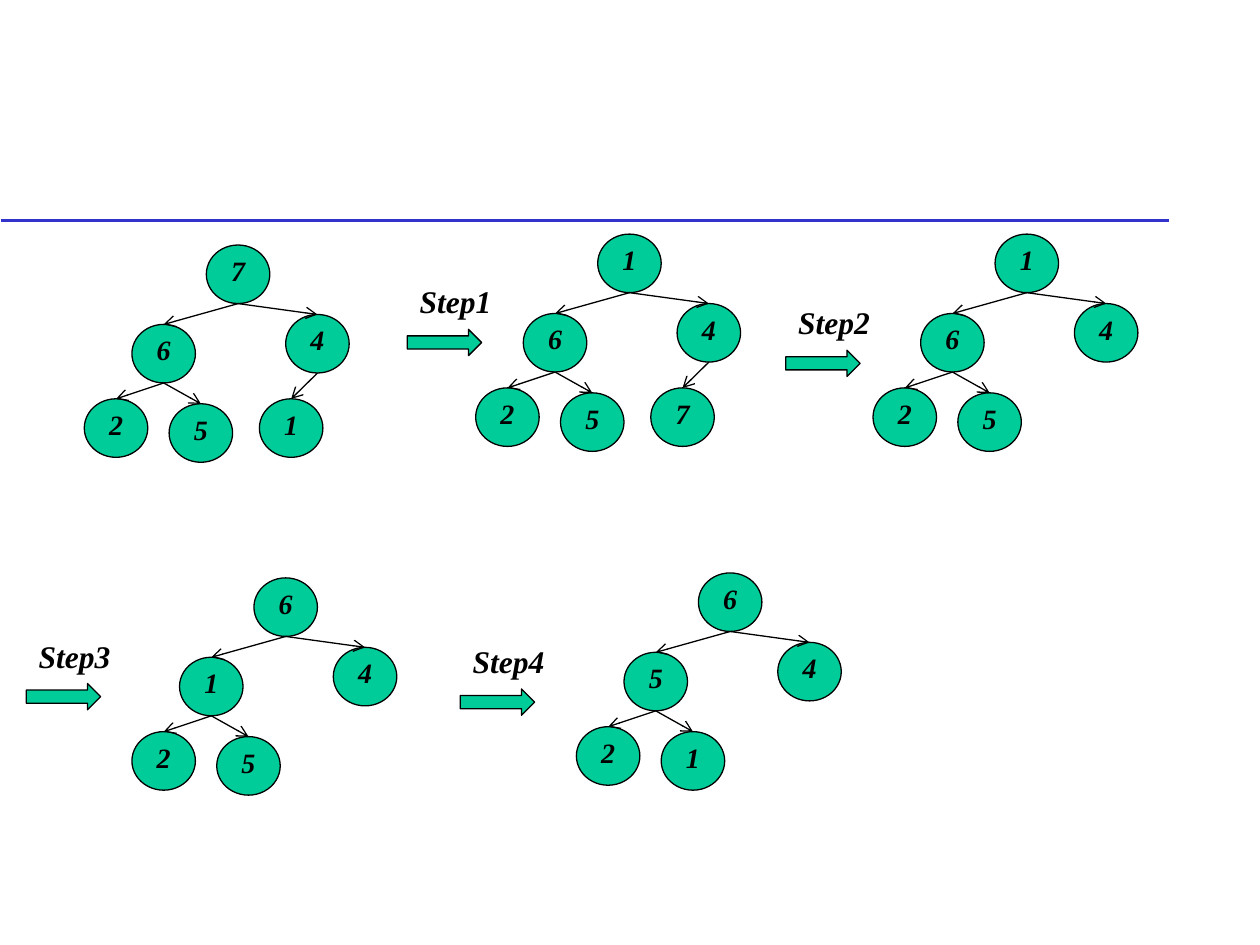
from lxml import etree
from pptx import Presentation
from pptx import util as u
from pptx.dml.color import RGBColor
from pptx.enum import shapes, text
from pptx.oxml import ns

COLOURS = {"node": "00CC99", "ink": "000000", "rule": "3333CC"}
FONT = "Times New Roman"

# Node size, and node places relative to the root, in cm
NODE_W, NODE_H = 1.28, 1.18
PLACES = {
    "root": (0, 0),
    "left": (-1.5, 1.6),
    "left_left": (-2.46, 3.1),
    "right": (1.6, 1.4),
    "left_right": (-0.75, 3.2),
    "right_left": (1.07, 3.1),
}
EDGES = [
    ("root", "left"),
    ("root", "right"),
    ("left", "left_left"),
    ("left", "left_right"),
    ("right", "right_left"),
]

# Left and top of each root, then the keys in the order of PLACES
HEAPS = [
    (4.16, 4.94, "762451"),
    (12.05, 4.72, "162457"),
    (20.06, 4.72, "16245"),
    (5.12, 11.65, "61245"),
    (14.08, 11.55, "65241"),
]

# Left and top of each step arrow
STEPS = [(8.21, 6.64), (15.84, 7.06), (0.53, 13.78), (9.28, 13.89)]
ARROW_W, ARROW_H = 1.5, 0.53
LABEL_W, LABEL_H, LABEL_RISE = 1.98, 1.02, 1.07


def colour(name):
    return RGBColor.from_string(COLOURS[name])


def write(shape, words, size):
    """Put bold italic words into a shape."""
    para = shape.text_frame.paragraphs[0]
    para.text = words
    font = para.runs[0].font
    font.name, font.size = FONT, u.Pt(size)
    font.bold = font.italic = True
    font.color.rgb = colour("ink")
    return para


def add_solid(parent, kind, left, top, width, height):
    """Add a filled and outlined preset shape."""
    shape = parent.add_shape(kind, u.Cm(left), u.Cm(top), u.Cm(width), u.Cm(height))
    shape.shadow.inherit = False
    shape.fill.solid()
    shape.fill.fore_color.rgb = colour("node")
    shape.line.color.rgb = colour("ink")
    shape.line.width = u.Pt(0.75)
    return shape


def add_line(parent, start, end, shade, width, arrow=False):
    """Add a straight line, with an open arrowhead at its end if wanted."""
    line = parent.add_connector(
        shapes.MSO_CONNECTOR.STRAIGHT, *(u.Cm(value) for value in (*start, *end))
    )
    line.line.color.rgb = colour(shade)
    line.line.width = u.Pt(width)
    if arrow:
        outline = line.line._get_or_add_ln()
        etree.SubElement(outline, ns.qn("a:tailEnd"), type="arrow")
    etree.SubElement(line._element.spPr, ns.qn("a:effectLst"))


def add_node(parent, left, top, key):
    node = add_solid(parent, shapes.MSO_SHAPE.OVAL, left, top, NODE_W, NODE_H)
    frame = node.text_frame
    frame.margin_left = frame.margin_right = 0
    frame.margin_top = frame.margin_bottom = 0
    frame.vertical_anchor = text.MSO_ANCHOR.TOP
    write(node, key, 16).alignment = text.PP_ALIGN.CENTER


def add_heap(page, left, top, keys):
    """Add one grouped tree: nodes first, then its edges."""
    group = page.shapes.add_group_shape().shapes
    spots = {}
    for (place, (dx, dy)), key in zip(PLACES.items(), keys):
        spots[place] = (left + dx, top + dy)
        add_node(group, *spots[place], key)
    for parent, child in EDGES:
        if child in spots:
            (x1, y1), (x2, y2) = spots[parent], spots[child]
            start = (x1 + NODE_W / 2, y1 + NODE_H)
            end = (x2 + NODE_W / 2, y2)
            add_line(group, start, end, "ink", 0.75, arrow=True)


def add_step(page, left, top, label):
    """Add a block arrow with its label above."""
    add_solid(page.shapes, shapes.MSO_SHAPE.RIGHT_ARROW, left, top, ARROW_W, ARROW_H)
    box = page.shapes.add_textbox(
        u.Cm(left), u.Cm(top - LABEL_RISE), u.Cm(LABEL_W), u.Cm(LABEL_H)
    )
    box.text_frame.word_wrap = False
    box.text_frame.auto_size = text.MSO_AUTO_SIZE.SHAPE_TO_FIT_TEXT
    write(box, label, 18)


def main():
    deck = Presentation()
    deck.slide_width, deck.slide_height = u.Cm(25.4), u.Cm(19.05)
    page = deck.slides.add_slide(deck.slide_layouts[6])

    # Rule under the title area
    add_line(page.shapes, (0.03, 4.44), (23.57, 4.44), "rule", 1.5)

    # Heap states
    for left, top, keys in HEAPS:
        add_heap(page, left, top, keys)

    # Steps between the states
    for number, (left, top) in enumerate(STEPS, start=1):
        add_step(page, left, top, f"Step{number}")

    deck.save("out.pptx")


if __name__ == "__main__":
    main()
